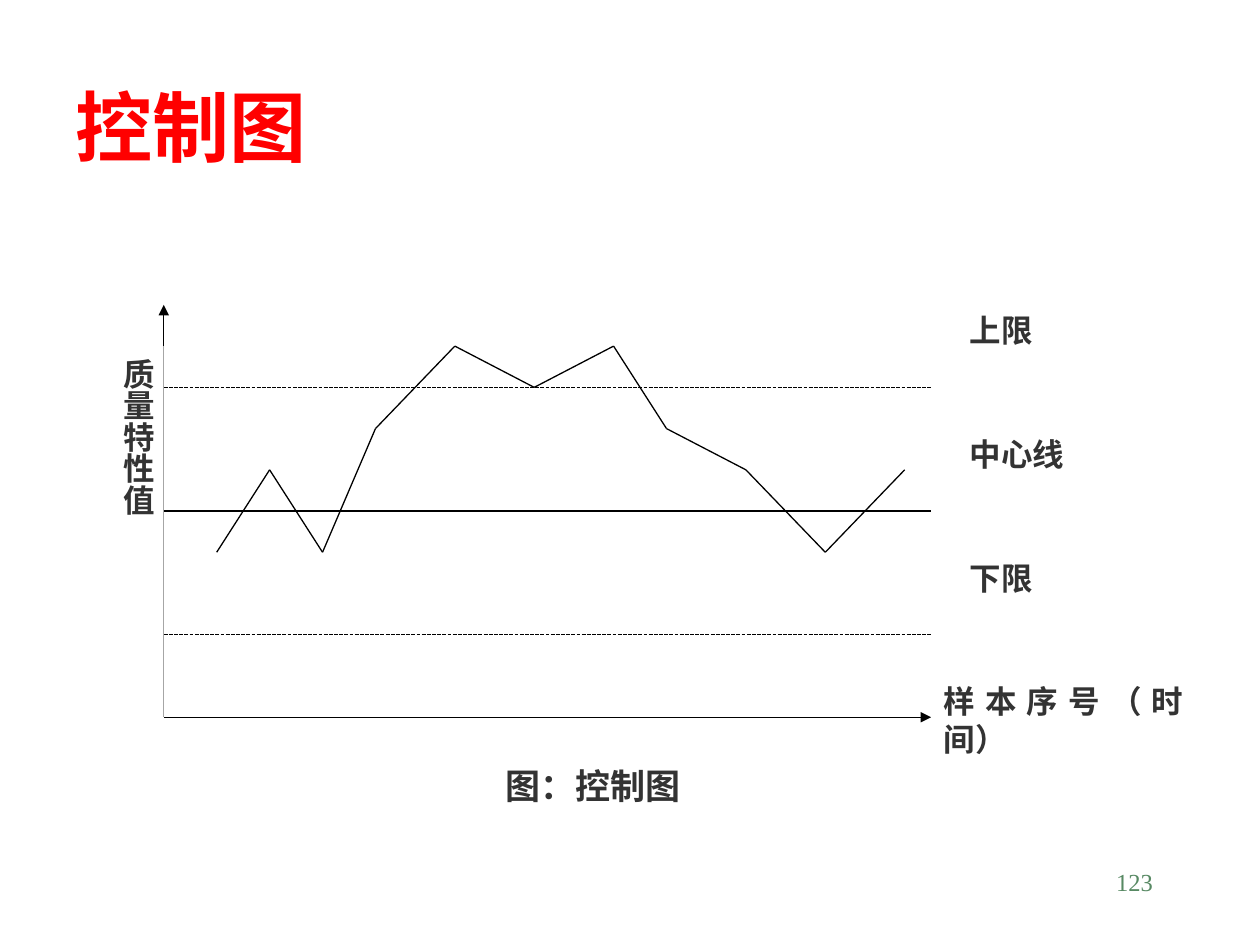
import pptx
import pptx.util
import pptx.dml.color
import pptx.enum.dml
import pptx.enum.shapes
import pptx.enum.text
import pptx.oxml.ns
import lxml.etree

Pt = pptx.util.Pt
RGB = pptx.dml.color.RGBColor
ALIGN = pptx.enum.text.PP_ALIGN
ANCHOR = pptx.enum.text.MSO_ANCHOR
DASH = pptx.enum.dml.MSO_LINE
qn = pptx.oxml.ns.qn

BLACK = RGB(0x00, 0x00, 0x00)
WHITE = RGB(0xFF, 0xFF, 0xFF)
GREY = RGB(0x33, 0x33, 0x33)
RED = RGB(0xFF, 0x00, 0x00)
GREEN = RGB(0x57, 0x89, 0x63)
FONT = "Times New Roman"

LEFT, TOP = 93.6, 174.24
COL, ROW = 15.12, 23.56

prs = pptx.Presentation()
prs.slide_width, prs.slide_height = Pt(720), Pt(540)
slide = prs.slides.add_slide(prs.slide_layouts[5])


def write(shape, text, size, color, align, bold=True, anchor=ANCHOR.TOP):
    frame = shape.text_frame
    frame.word_wrap = True
    frame.auto_size = pptx.enum.text.MSO_AUTO_SIZE.NONE
    frame.vertical_anchor = anchor
    para = frame.paragraphs[0]
    para.alignment = align
    para.space_before = Pt(0)
    run = para.add_run()
    run.text = text
    run.font.name = FONT
    run.font.size = Pt(size)
    run.font.bold = bold
    run.font.color.rgb = color


def draw(start, end, arrow=False, dash=None):
    (x1, y1), (x2, y2) = start, end
    line = slide.shapes.add_connector(
        pptx.enum.shapes.MSO_CONNECTOR.STRAIGHT,
        Pt(LEFT + x1 * COL), Pt(TOP + y1 * ROW),
        Pt(LEFT + x2 * COL), Pt(TOP + y2 * ROW))
    line.line.color.rgb = BLACK
    line.line.width = Pt(0.75)
    if dash:
        line.line.dash_style = dash
    if arrow:
        lxml.etree.SubElement(line.line._get_or_add_ln(), qn("a:tailEnd"), type="triangle")
    lxml.etree.SubElement(line._element.spPr, qn("a:effectLst"))


title = slide.shapes.title
title.left, title.top, title.width, title.height = Pt(36), Pt(48), Pt(660), Pt(48)
write(title, "控制图", 44, RED, ALIGN.LEFT, anchor=ANCHOR.MIDDLE)

draw((0, 10), (29, 10), arrow=True)
draw((0, 10), (0, 0), arrow=True)
draw((0, 5), (29, 5))
for row in (2, 8):
    draw((0, row), (29, row), dash=DASH.SQUARE_DOT)

points = [(2, 6), (4, 4), (6, 6), (8, 3), (11, 1), (14, 2),
          (17, 1), (19, 3), (22, 4), (25, 6), (28, 4)]
for start, end in zip(points, points[1:]):
    draw(start, end)

labels = [
    ("中心线", 30, 3, 6, 3, 18, ALIGN.JUSTIFY),
    ("下限", 30, 6, 6, 3, 18, ALIGN.JUSTIFY),
    ("上限", 30, 0, 6, 3, 18, ALIGN.JUSTIFY),
    ("样本序号（时间）", 29, 9, 10, 3, 18, ALIGN.JUSTIFY),
    ("图：控制图", 10, 11, 10, 3, 20, ALIGN.RIGHT),
    ("质量特性值", -3, 1, 3, 9.23, 18, ALIGN.CENTER),
]
for text, col, row, wide, high, size, align in labels:
    box = slide.shapes.add_shape(
        pptx.enum.shapes.MSO_SHAPE.RECTANGLE,
        Pt(LEFT + col * COL), Pt(TOP + row * ROW), Pt(wide * COL), Pt(high * ROW))
    box.shadow.inherit = False
    box.fill.solid()
    box.fill.fore_color.rgb = WHITE
    box.line.fill.background()
    write(box, text, size, GREY, align)
    if col < 0:
        frame = box.text_frame
        frame._txBody.bodyPr.set("vert", "eaVert")
        frame.margin_left = frame.margin_right = Pt(3.6)
        frame.margin_top = frame.margin_bottom = Pt(7.2)

number = slide.shapes.add_textbox(Pt(516), Pt(492), Pt(150), Pt(36))
write(number, "123", 14, GREEN, ALIGN.RIGHT, bold=False)

prs.save("out.pptx")
